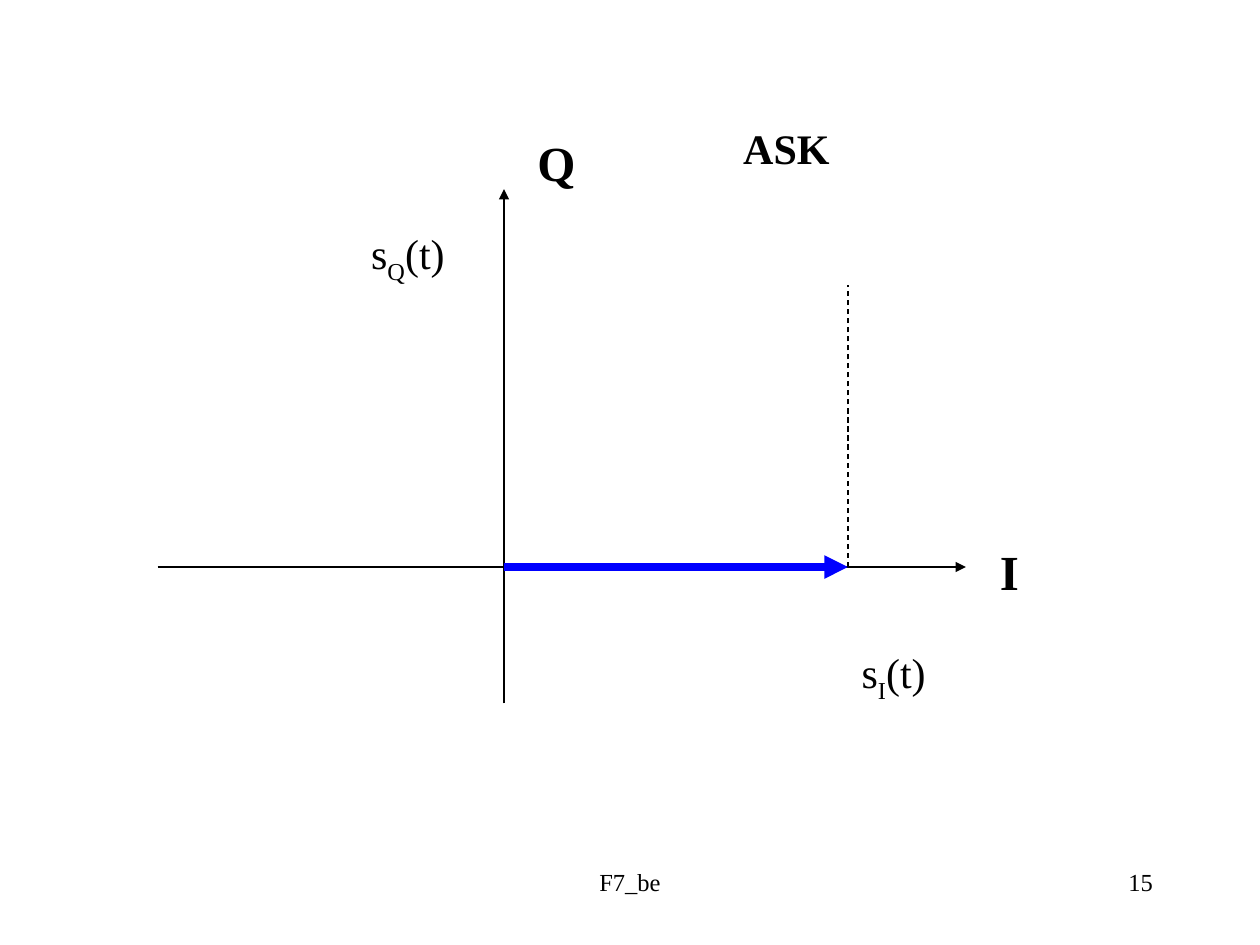
"""Build the ASK phasor diagram slide with I and Q axes."""
import pptx
import pptx.util
import pptx.dml.color
import pptx.enum.dml
import pptx.enum.shapes
import pptx.enum.text
import pptx.oxml
import pptx.oxml.ns

Pt = pptx.util.Pt
ALIGN = pptx.enum.text.PP_ALIGN
AUTO_SIZE = pptx.enum.text.MSO_AUTO_SIZE
BLACK = pptx.dml.color.RGBColor(0, 0, 0)
BLUE = pptx.dml.color.RGBColor(0, 0, 255)
FONT = "Times New Roman"

ORIGIN_X, ORIGIN_Y = 288, 324
SIGNAL_X = 484.56

LINES = [
    {"start": (90, ORIGIN_Y), "end": (552, ORIGIN_Y), "arrow": True},
    {"start": (ORIGIN_X, 402), "end": (ORIGIN_X, 108), "arrow": True},
    {"start": (ORIGIN_X, ORIGIN_Y), "end": (SIGNAL_X, ORIGIN_Y),
     "color": BLUE, "width": 4.5, "arrow": True},
    {"start": (SIGNAL_X, ORIGIN_Y), "end": (SIGNAL_X, 162.72), "dashed": True},
]

LABELS = [
    {"runs": ["Q"], "box": (300, 72, 36, 41), "size": 28, "bold": True},
    {"runs": ["I"], "box": (564.2, 306, 25.2, 41), "size": 28, "bold": True},
    {"runs": ["s", "I", "(t)"], "box": (485.3, 366, 51, 40.3), "size": 24},
    {"runs": ["s", "Q", "(t)"], "box": (205, 126.7, 56.2, 40.3), "size": 24},
    {"runs": ["ASK"], "box": (417.6, 66.4, 65, 36), "size": 24, "bold": True},
    {"runs": ["F7_be"], "box": (246, 492, 228, 36), "size": 14,
     "align": ALIGN.CENTER, "wrap": True},
    {"runs": ["15"], "box": (516, 492, 150, 36), "size": 14,
     "align": ALIGN.RIGHT, "wrap": True},
]


def add_line(slide, start, end, color=BLACK, width=0.75, arrow=False, dashed=False):
    connector = slide.shapes.add_connector(
        pptx.enum.shapes.MSO_CONNECTOR.STRAIGHT,
        *(Pt(value) for value in start + end))
    connector.line.color.rgb = color
    connector.line.width = Pt(width)
    if dashed:
        connector.line.dash_style = pptx.enum.dml.MSO_LINE.DASH
    if arrow:
        head = pptx.oxml.parse_xml(
            f'<a:tailEnd {pptx.oxml.ns.nsdecls("a")} type="triangle"/>')
        connector.line._get_or_add_ln().append(head)
    connector._element.spPr.append(
        pptx.oxml.parse_xml(f'<a:effectLst {pptx.oxml.ns.nsdecls("a")}/>'))


def add_label(slide, runs, box, size, bold=False, align=ALIGN.LEFT, wrap=False):
    text_frame = slide.shapes.add_textbox(*(Pt(value) for value in box)).text_frame
    text_frame.word_wrap = wrap
    text_frame.auto_size = AUTO_SIZE.NONE if wrap else AUTO_SIZE.SHAPE_TO_FIT_TEXT
    paragraph = text_frame.paragraphs[0]
    paragraph.alignment = align
    for index, text in enumerate(runs):
        run = paragraph.add_run()
        run.text = text
        run.font.name = FONT
        run.font.size = Pt(size)
        run.font.bold = bold
        run.font.color.rgb = BLACK
        if index == 1:
            run._r.get_or_add_rPr().set("baseline", "-25000")


def main():
    presentation = pptx.Presentation()
    presentation.slide_width, presentation.slide_height = Pt(720), Pt(540)
    slide = presentation.slides.add_slide(presentation.slide_layouts[6])
    for line in LINES:
        add_line(slide, **line)
    for label in LABELS:
        add_label(slide, **label)
    presentation.save("out.pptx")


if __name__ == "__main__":
    main()
